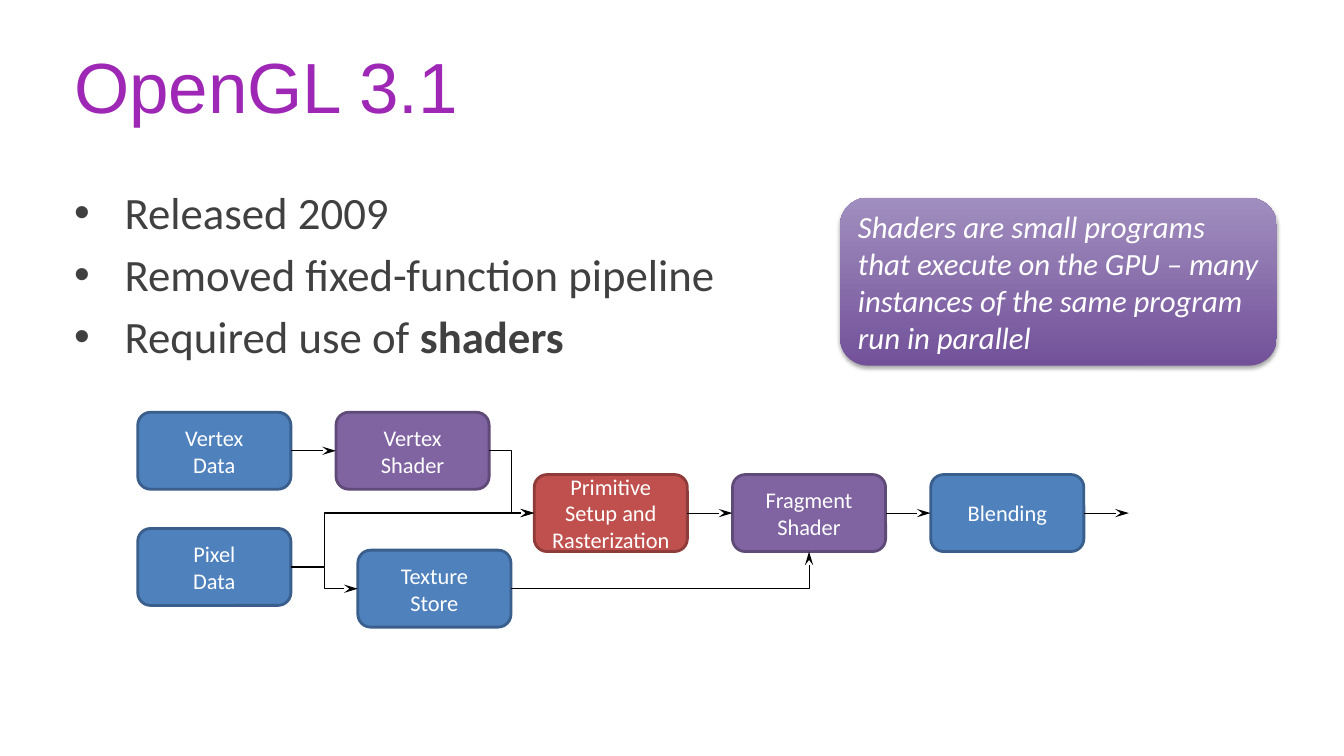
from dataclasses import dataclass

from lxml import etree
from pptx import Presentation
from pptx.dml.color import RGBColor
from pptx.enum.shapes import MSO_CONNECTOR, MSO_SHAPE
from pptx.enum.text import MSO_ANCHOR, PP_ALIGN
from pptx.oxml.ns import qn
from pptx.util import Pt

ROUNDED = MSO_SHAPE.ROUNDED_RECTANGLE
STRAIGHT, ELBOW = MSO_CONNECTOR.STRAIGHT, MSO_CONNECTOR.ELBOW
TOP, MIDDLE = MSO_ANCHOR.TOP, MSO_ANCHOR.MIDDLE
LEFT, CENTER = PP_ALIGN.LEFT, PP_ALIGN.CENTER
BOTTOM_SITE, LEFT_SITE, RIGHT_SITE = 2, 1, 3


@dataclass(frozen=True)
class Theme:
    heading_font: str = "Arial"
    body_font: str = "Calibri"
    title_size: float = 50.7
    bullet_size: float = 32
    callout_size: float = 22
    stage_size: float = 16
    title: str = "9E28B5"
    body: str = "404040"
    white: str = "FFFFFF"
    arrow: str = "000000"
    callout: tuple = ("725199", "A18EBF")
    # Each stage kind: fill, outline
    fixed: tuple = ("4F81BD", "3A5F8C")
    shader: tuple = ("8064A2", "5F4A78")
    raster: tuple = ("C0504D", "8E3B39")


THEME = Theme()
COLUMN_LEFT, COLUMN_PITCH = 98.4, 141.6
STAGE_WIDTH, STAGE_HEIGHT = 109.4, 55
VERTEX_ROW, MAIN_ROW, PIXEL_ROW, TEXTURE_ROW = 294.5, 339, 377.5, 393
TEXTURE_LEFT = 255.6
OUTPUT_LENGTH = 32.2


def color(value):
    return RGBColor.from_string(value)


def add_xml(parent, tag, **attributes):
    return etree.SubElement(parent, qn(tag), attributes)


def set_font(font, name, size, value, italic=False):
    formats = {"name": name, "size": Pt(size), "italic": italic}
    for attribute, setting in formats.items():
        setattr(font, attribute, setting)
    font.color.rgb = color(value)


def set_frame(frame, anchor, left, top, right, bottom):
    formats = {
        "word_wrap": True,
        "vertical_anchor": anchor,
        "margin_left": Pt(left),
        "margin_top": Pt(top),
        "margin_right": Pt(right),
        "margin_bottom": Pt(bottom),
    }
    for attribute, setting in formats.items():
        setattr(frame, attribute, setting)


def add_title(slide, text):
    frame = slide.shapes.add_textbox(Pt(48), Pt(21.6), Pt(864), Pt(90)).text_frame
    set_frame(frame, TOP, 5, 9, 5, 4)
    frame.text = text
    set_font(frame.paragraphs[0].font, THEME.heading_font, THEME.title_size, THEME.title)


def add_bullets(slide, items):
    """Each item is a list of (text, bold) pieces."""
    frame = slide.shapes.add_textbox(Pt(48), Pt(126), Pt(864), Pt(356.4)).text_frame
    set_frame(frame, TOP, 5, 6, 5, 4)
    for index, pieces in enumerate(items):
        paragraph = frame.add_paragraph() if index else frame.paragraphs[0]
        if index:
            paragraph.space_before = Pt(6)
        properties = paragraph._p.get_or_add_pPr()
        properties.set("marL", str(Pt(36)))
        properties.set("indent", str(Pt(-36)))
        add_xml(properties, "a:buFont", typeface=THEME.heading_font)
        add_xml(properties, "a:buChar", char="•")
        set_font(paragraph.font, THEME.body_font, THEME.bullet_size, THEME.body)
        for text, bold in pieces:
            run = paragraph.add_run()
            run.text = text
            run.font.bold = bold


def add_rounded_box(slide, left, top, width, height, text, size, align, italic=False):
    box = slide.shapes.add_shape(ROUNDED, Pt(left), Pt(top), Pt(width), Pt(height))
    box.shadow.inherit = False
    box.text_frame.text = text
    for paragraph in box.text_frame.paragraphs:
        paragraph.alignment = align
        set_font(paragraph.font, THEME.body_font, size, THEME.white, italic)
    return box


def add_callout(slide, text):
    callout = add_rounded_box(slide, 600, 141.2, 312, 120, text,
                              THEME.callout_size, LEFT, italic=True)
    set_frame(callout.text_frame, MIDDLE, 7, 4, 4, 4)
    callout.line.fill.background()
    callout.fill.gradient()
    callout.fill.gradient_angle = 90
    for stop, value in zip(callout.fill.gradient_stops, THEME.callout):
        stop.color.rgb = color(value)
    effects = callout.element.spPr.find(qn("a:effectLst"))
    shadow = add_xml(effects, "a:outerShdw", blurRad=str(Pt(3.1)), dist=str(Pt(1.8)),
                     dir="5400000", rotWithShape="0")
    shade = add_xml(shadow, "a:srgbClr", val=THEME.arrow)
    add_xml(shade, "a:alpha", val="35000")


def add_stage(slide, left, top, text, colors):
    stage = add_rounded_box(slide, left, top, STAGE_WIDTH, STAGE_HEIGHT, text,
                            THEME.stage_size, CENTER)
    set_frame(stage.text_frame, MIDDLE, 8.4, 3.6, 8.4, 3.6)
    fill, outline = colors
    stage.fill.solid()
    stage.fill.fore_color.rgb = color(fill)
    stage.line.color.rgb = color(outline)
    stage.line.width = Pt(2)
    return stage


def add_arrow(slide, source, target=None, kind=STRAIGHT, site=LEFT_SITE, bend=None):
    """Arrow from the right of source to a site of target, or out of the diagram."""
    start_x = source.left + source.width
    start_y = source.top + source.height // 2
    arrow = slide.shapes.add_connector(kind, start_x, start_y,
                                       start_x + Pt(OUTPUT_LENGTH), start_y)
    arrow.begin_connect(source, RIGHT_SITE)
    if target is not None:
        arrow.end_connect(target, site)
    arrow.line.color.rgb = color(THEME.arrow)
    arrow.line.width = Pt(0.75)
    properties = arrow.element.spPr
    add_xml(properties.find(qn("a:ln")), "a:tailEnd", type="stealth", w="med", len="lg")
    add_xml(properties, "a:effectLst")
    geometry = properties.find(qn("a:prstGeom"))
    if site == BOTTOM_SITE:
        geometry.set("prst", "bentConnector2")
    if bend is not None:
        guides = geometry.find(qn("a:avLst"))
        if guides is None:
            guides = add_xml(geometry, "a:avLst")
        add_xml(guides, "a:gd", name="adj1", fmla=f"val {round(bend * 100000)}")


def add_pipeline(slide):
    columns = [COLUMN_LEFT + COLUMN_PITCH * index for index in range(5)]
    stages = {
        "raster": (columns[2], MAIN_ROW, "Primitive\nSetup and Rasterization", THEME.raster),
        "fragment": (columns[3], MAIN_ROW, "Fragment Shader", THEME.shader),
        "blending": (columns[4], MAIN_ROW, "Blending", THEME.fixed),
        "vertices": (columns[0], VERTEX_ROW, "Vertex\vData", THEME.fixed),
        "pixels": (columns[0], PIXEL_ROW, "Pixel\vData", THEME.fixed),
        "vertex": (columns[1], VERTEX_ROW, "Vertex Shader", THEME.shader),
        "texture": (TEXTURE_LEFT, TEXTURE_ROW, "Texture\vStore", THEME.fixed),
    }
    placed = {key: add_stage(slide, *stage) for key, stage in stages.items()}
    for source, target in (("vertices", "vertex"), ("raster", "fragment"),
                           ("fragment", "blending")):
        add_arrow(slide, placed[source], placed[target])
    for source, target, bend in (("vertex", "raster", 0.5), ("pixels", "raster", 0.14),
                                 ("pixels", "texture", 0.5)):
        add_arrow(slide, placed[source], placed[target], ELBOW, bend=bend)
    add_arrow(slide, placed["texture"], placed["fragment"], ELBOW, BOTTOM_SITE)
    add_arrow(slide, placed["blending"])


def main():
    presentation = Presentation()
    presentation.slide_width, presentation.slide_height = Pt(960), Pt(540)
    slide = presentation.slides.add_slide(presentation.slide_layouts[6])
    add_title(slide, "OpenGL 3.1")
    add_bullets(slide, [
        [("Released 2009", False)],
        [("Removed fixed-function pipeline", False)],
        [("Required use of ", False), ("shaders", True)],
    ])
    add_pipeline(slide)
    add_callout(slide, "Shaders are small programs that execute on the GPU – many "
                       "instances of the same program run in parallel")
    presentation.save("out.pptx")


if __name__ == "__main__":
    main()
